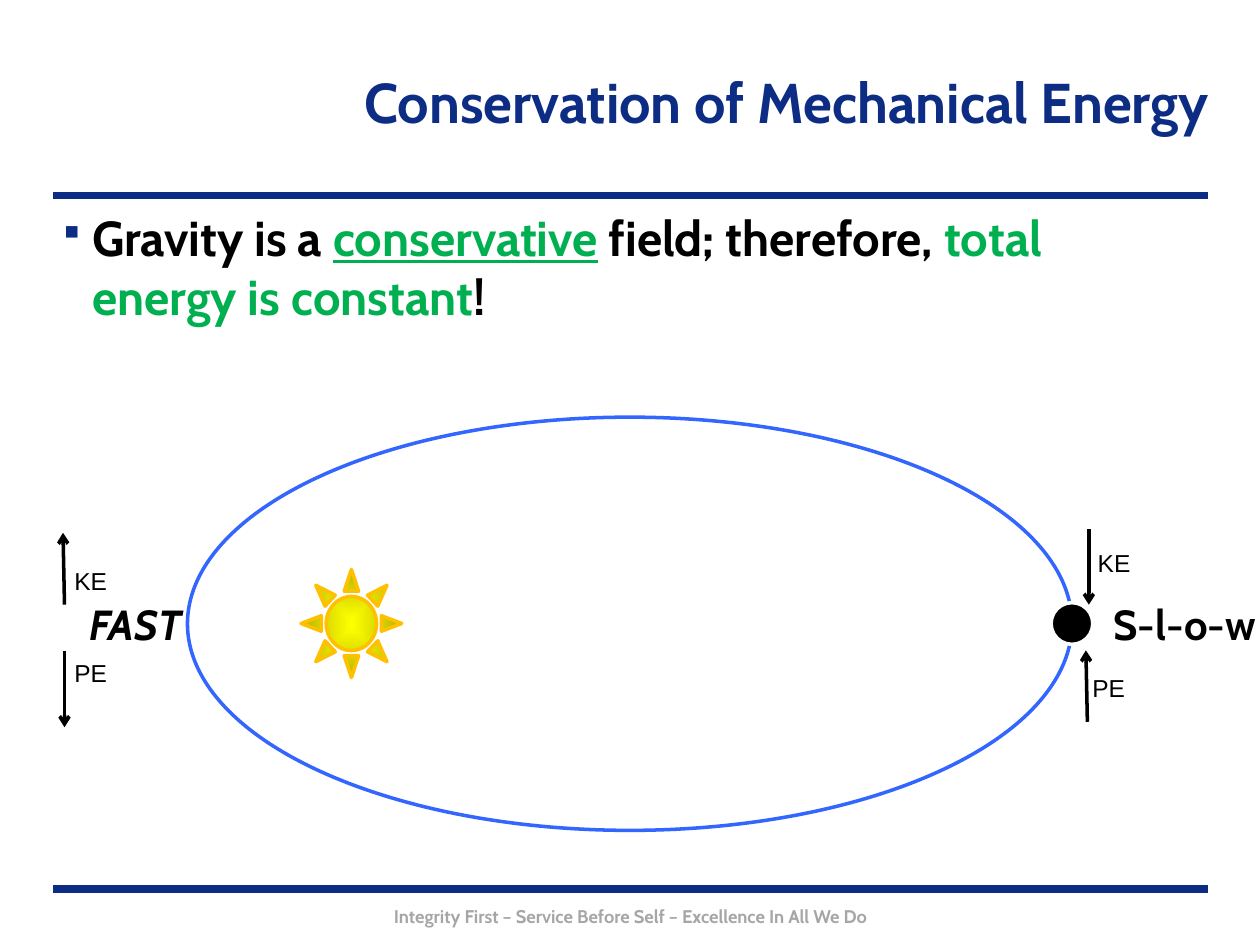
import pptx
import pptx.util
import pptx.dml.color
import pptx.enum.shapes
import pptx.enum.text
import pptx.oxml
import pptx.oxml.ns

Cm, Pt = pptx.util.Cm, pptx.util.Pt
Kind = pptx.enum.shapes.MSO_SHAPE
Side = pptx.enum.text.PP_ALIGN
Hold = pptx.enum.text.MSO_ANCHOR

THEME = {
    "navy": "0C2D83", "green": "00B050", "black": "000000", "grey": "A6A6A6",
    "blue": "3366FF", "white": "FFFFFF", "gold": "FFC000",
    "glow": "FFFF00", "edge": "B6B600",
    "head": 32, "body": 28, "speed": 24, "mark": 14, "foot": 10.5,
    "main": "Cabin", "plain": "Arial", "rule": 4.5, "line": 2,
}

TITLE = "Conservation of Mechanical Energy"
TITLE_BOX = (5.08, 0.51, 19.56, 3.05)
BODY = [("Gravity is a ", "black", False), ("conservative", "green", True),
        (" field; therefore, ", "black", False),
        ("total energy is constant", "green", False), ("!", "black", False)]
BODY_BOX = (1.02, 4.06, 23.37, 13.72)
FOOT = "Integrity First – Service Before Self – Excellence In All We Do"
FOOT_BOX = (3.61, 18.12, 18.21, 0.71)

RULES = [17.93, 3.94]
RULE_ENDS = (1.07, 24.36)

ORBIT = (3.78, 8.41, 17.83, 8.33)
SUN = (6.07, 11.48, 2.03, 2.18)
PLANET = (21.19, 12.15, 0.84, 0.84)

ARROWS = [(1.3, 12.19, 1.27, 10.74), (1.3, 13.13, 1.3, 14.66),
          (21.92, 14.55, 21.89, 13.11), (21.95, 10.67, 21.95, 12.19)]
MARKS = [("KE", 1.25, 11.28), ("KE", 21.88, 10.92),
         ("PE", 1.25, 13.14), ("PE", 21.77, 13.44)]
SPEEDS = [("S-l-o-w", 22.2, False), ("FAST", 1.55, True)]
MARK_SIZE, SPEED_SIZE, SPEED_TOP = (1.68, 0.86), (7.62, 1.27), 11.94


def tint(name):
    return pptx.dml.color.RGBColor.from_string(THEME[name])


def place(box):
    return [Cm(n) for n in box]


def style(font, size, color, face="main", bold=True, slant=False):
    font.name, font.size = THEME[face], Pt(THEME[size])
    font.bold, font.italic = bold, slant
    font.color.rgb = tint(color)


def label(slide, text, box, size, color, align=Side.LEFT, **look):
    frame = slide.shapes.add_textbox(*place(box)).text_frame
    frame.word_wrap = True
    frame.text = text
    para = frame.paragraphs[0]
    para.alignment = align
    style(para.runs[0].font, size, color, **look)
    return para


def stroke(slide, ends, color, width, arrow=False):
    line = slide.shapes.add_connector(
        pptx.enum.shapes.MSO_CONNECTOR.STRAIGHT, *place(ends))
    line.line.color.rgb = tint(color)
    line.line.width = Pt(THEME[width])
    props = line._element.spPr
    if arrow:
        props.find(pptx.oxml.ns.qn("a:ln")).append(pptx.oxml.parse_xml(
            f'<a:tailEnd {pptx.oxml.ns.nsdecls("a")} type="arrow"/>'))
    props.append(pptx.oxml.parse_xml(
        f'<a:effectLst {pptx.oxml.ns.nsdecls("a")}/>'))


def solid(slide, kind, box, edge, fill=None):
    shape = slide.shapes.add_shape(kind, *place(box))
    shape.shadow.inherit = False
    shape.line.color.rgb = tint(edge)
    shape.line.width = Pt(THEME["line"])
    if fill:
        shape.fill.solid()
        shape.fill.fore_color.rgb = tint(fill)
    else:
        shape.fill.background()
    return shape


def shine(shape):
    shape.fill.gradient()
    for stop, name in zip(shape.fill.gradient_stops, ("glow", "edge")):
        stop.color.rgb = tint(name)
    lin = shape._element.spPr.find(".//" + pptx.oxml.ns.qn("a:lin"))
    lin.getparent().replace(lin, pptx.oxml.parse_xml(
        f'<a:path {pptx.oxml.ns.nsdecls("a")} path="rect">'
        '<a:fillToRect l="50000" t="50000" r="50000" b="50000"/></a:path>'))


def bullet(para):
    props = para._p.get_or_add_pPr()
    props.set("marL", str(Cm(0.59)))
    props.set("indent", str(Cm(-0.59)))
    for item in (f'buClr {{}}><a:srgbClr val="{THEME["navy"]}"/></a:buClr>',
                 'buSzPct {} val="80000"/>',
                 'buFont {} typeface="Wingdings" charset="2"/>',
                 'buChar {} char="§"/>'):
        props.append(pptx.oxml.parse_xml(
            "<a:" + item.format(pptx.oxml.ns.nsdecls("a"))))


def main():
    deck = pptx.Presentation()
    deck.slide_width, deck.slide_height = Cm(25.4), Cm(19.05)
    slide = deck.slides.add_slide(deck.slide_layouts[5])

    title = slide.shapes.title
    title.left, title.top, title.width, title.height = place(TITLE_BOX)
    title.text_frame.text = TITLE
    title.text_frame.vertical_anchor = Hold.MIDDLE
    para = title.text_frame.paragraphs[0]
    para.alignment = Side.RIGHT
    style(para.runs[0].font, "head", "navy")

    left, right = RULE_ENDS
    for top in RULES:
        stroke(slide, (left, top, right, top), "navy", "rule")
    label(slide, FOOT, FOOT_BOX, "foot", "grey", Side.CENTER)

    first, *rest = BODY
    para = label(slide, first[0], BODY_BOX, "body", first[1])
    bullet(para)
    for text, color, under in rest:
        run = para.add_run()
        run.text = text
        style(run.font, "body", color)
        run.font.underline = under

    solid(slide, Kind.OVAL, ORBIT, "blue")
    shine(solid(slide, Kind.SUN, SUN, "gold"))
    solid(slide, Kind.OVAL, PLANET, "white", "black")

    for ends in ARROWS:
        stroke(slide, ends, "black", "line", True)
    for text, x, y in MARKS:
        label(slide, text, (x, y, *MARK_SIZE), "mark", "black",
              face="plain", bold=False)
    for text, x, slant in SPEEDS:
        label(slide, text, (x, SPEED_TOP, *SPEED_SIZE), "speed", "black",
              slant=slant)

    deck.save("out.pptx")


if __name__ == "__main__":
    main()
